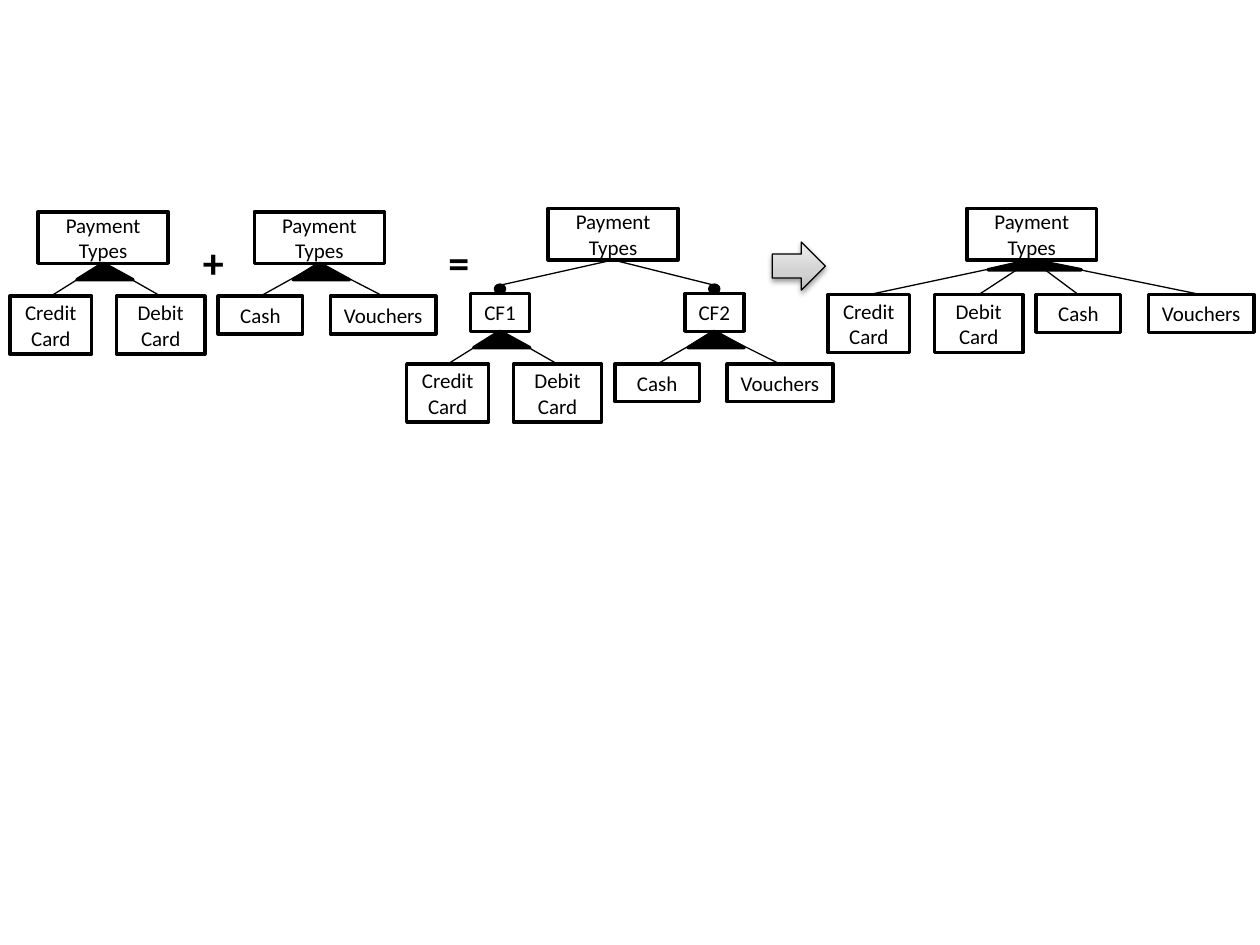
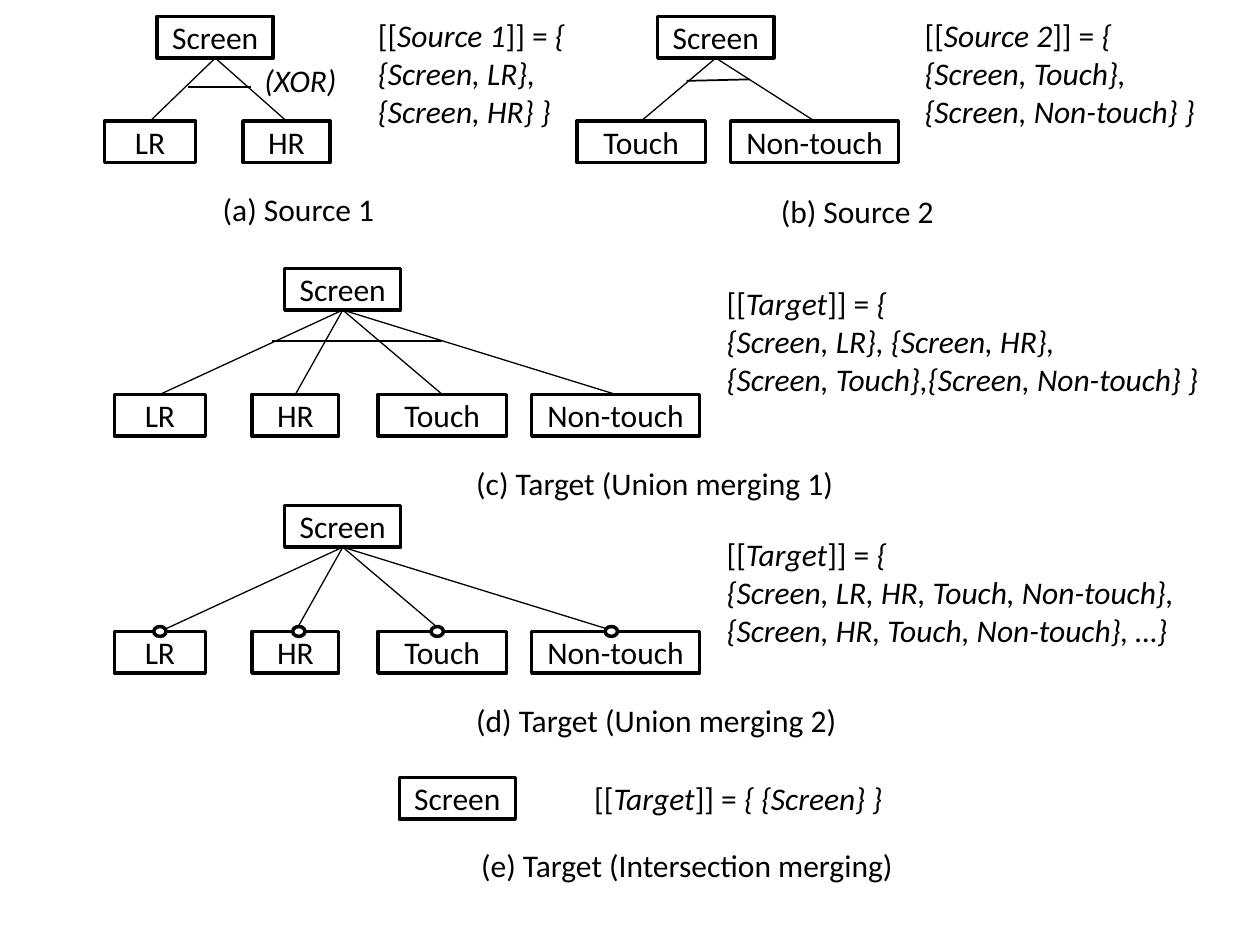
"""Two slides on merging feature models: payment types and screens."""
from copy import deepcopy
from dataclasses import dataclass

from lxml import etree
from pptx import Presentation
from pptx.dml.color import RGBColor
from pptx.enum.shapes import MSO_CONNECTOR, MSO_SHAPE
from pptx.enum.text import MSO_ANCHOR, MSO_AUTO_SIZE, PP_ALIGN
from pptx.oxml.ns import qn
from pptx.util import Cm, Pt

RECTANGLE = MSO_SHAPE.RECTANGLE
TRIANGLE = MSO_SHAPE.ISOSCELES_TRIANGLE
OVAL = MSO_SHAPE.OVAL
RIGHT_ARROW = MSO_SHAPE.RIGHT_ARROW
STRAIGHT = MSO_CONNECTOR.STRAIGHT
MIDDLE = MSO_ANCHOR.MIDDLE
CENTER = PP_ALIGN.CENTER
FIT_TEXT = MSO_AUTO_SIZE.SHAPE_TO_FIT_TEXT


@dataclass(frozen=True)
class Theme:
    """Colours, font, type sizes and line widths of the deck."""
    ink: RGBColor = RGBColor(0, 0, 0)
    paper: RGBColor = RGBColor(255, 255, 255)
    arrow_stops: tuple = ((0, "BDBDBD"), (0.35, "D1D1D1"), (1, "EEEEEE"))
    font: str = "Calibri"
    small: int = 12
    body: int = 18
    sign: int = 24
    outline: float = 2
    branch: float = 0.75
    bar: float = 1


THEME = Theme()

# Widths and heights of the feature boxes, in centimetres
PAYMENT_SIZES = {
    "Payment Types": (2.62, 1.04), "CF1": (1.19, 0.76), "CF2": (1.19, 0.76),
    "Credit Card": (1.65, 1.17), "Debit Card": (1.78, 1.17),
    "Cash": (1.7, 0.76), "Vouchers": (2.13, 0.76),
}
# Left edges of the payment leaves, from the left edge of their row
PAYMENT_OFFSETS = {"Credit Card": 0, "Debit Card": 2.15, "Cash": 4.2, "Vouchers": 6.46}
CARDS = ("Credit Card", "Debit Card")
OTHERS = ("Cash", "Vouchers")
PEAK = 0.468

SCREEN_HEIGHT = 0.84
SCREEN_WIDTHS = {"Screen": 2.34, "LR": 1.83, "HR": 1.75, "Touch": 2.59, "Non-touch": 3.38}
UNION_LEFTS = {"LR": 2.31, "HR": 5.08, "Touch": 7.62, "Non-touch": 10.72}


def style_font(font, size, bold=None, italic=None):
    """Apply the deck's typeface and ink to a font."""
    font.name = THEME.font
    font.size = Pt(size)
    font.color.rgb = THEME.ink
    font.bold = bold
    font.italic = italic


def add_solid(page, kind, left, top, width, height, fill):
    """Add a flat preset shape with the heavy outline."""
    shape = page.shapes.add_shape(kind, Cm(left), Cm(top), Cm(width), Cm(height))
    shape.shadow.inherit = False
    shape.fill.solid()
    shape.fill.fore_color.rgb = fill
    shape.line.color.rgb = THEME.ink
    shape.line.width = Pt(THEME.outline)
    return shape


def add_feature(page, name, left, top, width, height, size):
    """Add a feature box with its centred name."""
    box = add_solid(page, RECTANGLE, left, top, width, height, THEME.paper)
    frame = box.text_frame
    frame.word_wrap = True
    frame.vertical_anchor = MIDDLE
    paragraph = frame.paragraphs[0]
    paragraph.text = name
    paragraph.alignment = CENTER
    style_font(paragraph.font, size)


def add_line(page, start, end, weight=THEME.branch):
    """Add a straight line without a shadow."""
    line = page.shapes.add_connector(STRAIGHT, *map(Cm, start + end))
    line.line.color.rgb = THEME.ink
    line.line.width = Pt(weight)
    etree.SubElement(line.element.spPr, qn("a:effectLst"))


def add_text_box(page, left, top, width, height, wrap=False):
    """Add an empty text box that grows with its text; return its frame."""
    box = page.shapes.add_textbox(Cm(left), Cm(top), Cm(width), Cm(height))
    frame = box.text_frame
    frame.word_wrap = wrap
    frame.auto_size = FIT_TEXT
    return frame


def add_label(page, text, left, top, width, height=1.02, size=THEME.body, **emphasis):
    """Add a one-line label."""
    paragraph = add_text_box(page, left, top, width, height).paragraphs[0]
    paragraph.text = text
    style_font(paragraph.font, size, **emphasis)


def add_semantics(page, model, opening, rows, place, wrap=False):
    """Add the set of valid configurations of a model."""
    frame = add_text_box(page, *place, wrap=wrap)
    head = frame.paragraphs[0]
    for text, italic in (("[[", False), (model, True), ("]] = ", False), (opening, True)):
        span = head.add_run()
        span.text = text
        style_font(span.font, THEME.body, italic=italic)
    for row in rows:
        paragraph = frame.add_paragraph()
        paragraph.text = row
        style_font(paragraph.font, THEME.body, italic=True)


def add_payment_feature(page, name, left, top):
    """Add a payment box in its usual size."""
    add_feature(page, name, left, top, *PAYMENT_SIZES[name], THEME.small)


def add_payment_root(page, name, apex):
    """Add a parent box whose bottom centre is the apex."""
    width, height = PAYMENT_SIZES[name]
    add_payment_feature(page, name, apex[0] - width / 2, apex[1] - height)


def add_or_group(page, parent, apex, leaves, row_left, row_top, wedge=(1.13, 0.33)):
    """Add a parent with an or-group of leaves under a filled wedge."""
    add_payment_root(page, parent, apex)
    for name in leaves:
        left = row_left + PAYMENT_OFFSETS[name]
        add_line(page, apex, (left + PAYMENT_SIZES[name][0] / 2, row_top))
        add_payment_feature(page, name, left, row_top)
    width, height = wedge
    triangle = add_solid(page, TRIANGLE, apex[0] - PEAK * width, apex[1],
                         width, height, THEME.ink)
    triangle.adjustments[0] = PEAK


def add_result_arrow(page, left, top, width, height):
    """Add the grey gradient arrow with its soft shadow."""
    arrow = add_solid(page, RIGHT_ARROW, left, top, width, height, THEME.paper)
    arrow.line.width = Pt(THEME.branch)
    arrow.fill.gradient()
    arrow.fill.gradient_angle = 90
    stop_list = arrow.element.spPr.find(qn("a:gradFill")).find(qn("a:gsLst"))
    stop_list.insert(1, deepcopy(stop_list[0]))
    for stop, (position, colour) in zip(arrow.fill.gradient_stops, THEME.arrow_stops):
        stop.position = position
        stop.color.rgb = RGBColor.from_string(colour)
    effects = arrow.element.spPr.find(qn("a:effectLst"))
    shadow = etree.SubElement(effects, qn("a:outerShdw"), blurRad="40000", dist="20000",
                              dir="5400000", rotWithShape="0")
    colour = etree.SubElement(shadow, qn("a:srgbClr"), val=str(THEME.ink))
    etree.SubElement(colour, qn("a:alpha"), val="38000")


def add_screen_feature(page, name, left, top):
    """Add a screen box in its usual size."""
    add_feature(page, name, left, top, SCREEN_WIDTHS[name], SCREEN_HEIGHT, THEME.body)


def add_screen_tree(page, apex, lefts, row_top):
    """Add the Screen root and branches to its leaves."""
    add_screen_feature(page, "Screen", apex[0] - SCREEN_WIDTHS["Screen"] / 2,
                       apex[1] - SCREEN_HEIGHT)
    for name, left in lefts.items():
        add_line(page, apex, (left + SCREEN_WIDTHS[name] / 2, row_top))
        add_screen_feature(page, name, left, row_top)


def build_payment_page(page):
    """Draw the sum of two payment models and its simplified result."""
    add_or_group(page, "Payment Types", (2.08, 5.31), CARDS, 0.2, 5.97)
    add_or_group(page, "Payment Types", (6.44, 5.31), OTHERS, 0.2, 5.97)
    for sign, left in (("+", 3.84), ("=", 8.79)):
        add_label(page, sign, left, 4.65, 0.94, 1.27, THEME.sign, bold=True)

    root = (12.36, 5.24)
    add_payment_root(page, "Payment Types", root)
    for name, leaves, centre in (("CF1", CARDS, 10.08), ("CF2", OTHERS, 14.4)):
        add_or_group(page, name, (centre, 6.68), leaves, 8.2, 7.34)
        add_line(page, root, (centre, 5.75))
        add_solid(page, OVAL, centre - 0.09, 5.75, 0.18, 0.15, THEME.ink)

    add_result_arrow(page, 15.57, 4.88, 1.07, 0.97)
    add_or_group(page, "Payment Types", (20.8, 5.24), CARDS + OTHERS, 16.69, 5.94,
                 wedge=(1.88, 0.2))


def build_screen_page(page):
    """Draw two screen models and the three ways of merging them."""
    add_screen_tree(page, (4.34, 1.17), {"LR": 2.11, "HR": 4.9}, 2.44)
    add_screen_tree(page, (14.43, 1.17), {"Touch": 11.63, "Non-touch": 14.73}, 2.44)
    add_screen_tree(page, (6.91, 6.25), UNION_LEFTS, 7.95)
    add_screen_tree(page, (6.91, 11.03), UNION_LEFTS, 12.73)
    add_screen_feature(page, "Screen", 8.05, 15.67)

    for start, end in (((3.78, 1.75), (5.05, 1.75)), ((13.84, 1.63), (15.11, 1.6)),
                       ((5.49, 6.88), (8.92, 6.88))):
        add_line(page, start, end, THEME.bar)
    for left in (3.1, 5.9, 8.69, 12.2):
        add_solid(page, OVAL, left, 12.63, 0.25, 0.2, THEME.paper)

    add_label(page, "(XOR)", 5.08, 1.1, 1.98, italic=True)
    for text, left, top, width in (
            ("(a) Source 1", 4.24, 3.7, 3.61),
            ("(b) Source 2", 15.49, 3.74, 3.63),
            ("(c) Target (Union merging 1)", 9.35, 9.22, 7.8),
            ("(d) Target (Union merging 2)", 9.35, 14, 7.8),
            ("(e) Target (Intersection merging)", 9.45, 16.94, 8.92)):
        add_label(page, text, left, top, width)

    add_semantics(page, "Source 1", "{", ["{Screen, LR},", "{Screen, HR} }"],
                  (7.37, 0.2, 4.37, 2.6))
    add_semantics(page, "Source 2", "{", ["{Screen, Touch},", "{Screen, Non-touch} }"],
                  (18.39, 0.2, 6.02, 2.57))
    add_semantics(page, "Target", "{",
                  ["{Screen, LR}, {Screen, HR},", "{Screen, Touch},{Screen, Non-touch} }"],
                  (14.4, 5.61, 10.46, 2.57), wrap=True)
    add_semantics(page, "Target", "{",
                  ["{Screen, LR, HR, Touch, Non-touch}, {Screen, HR, Touch, Non-touch}, …}"],
                  (14.4, 10.67, 10.46, 2.57), wrap=True)
    add_semantics(page, "Target", "{ {Screen} }", [], (11.73, 15.57, 10.46, 1.02), wrap=True)


def main():
    """Build and save the deck."""
    deck = Presentation()
    deck.slide_width, deck.slide_height = Cm(25.4), Cm(19.05)
    blank = deck.slide_layouts[6]
    for build in (build_payment_page, build_screen_page):
        build(deck.slides.add_slide(blank))
    deck.save("out.pptx")


main()
